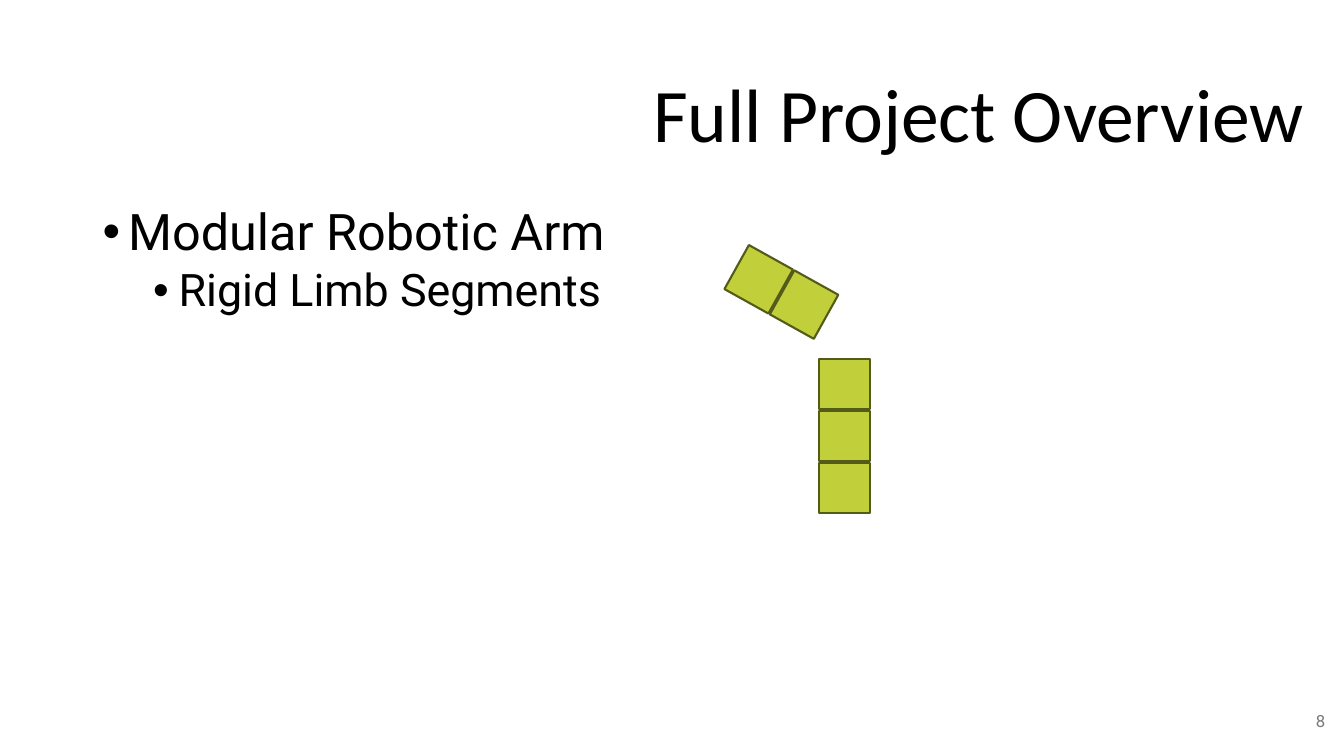
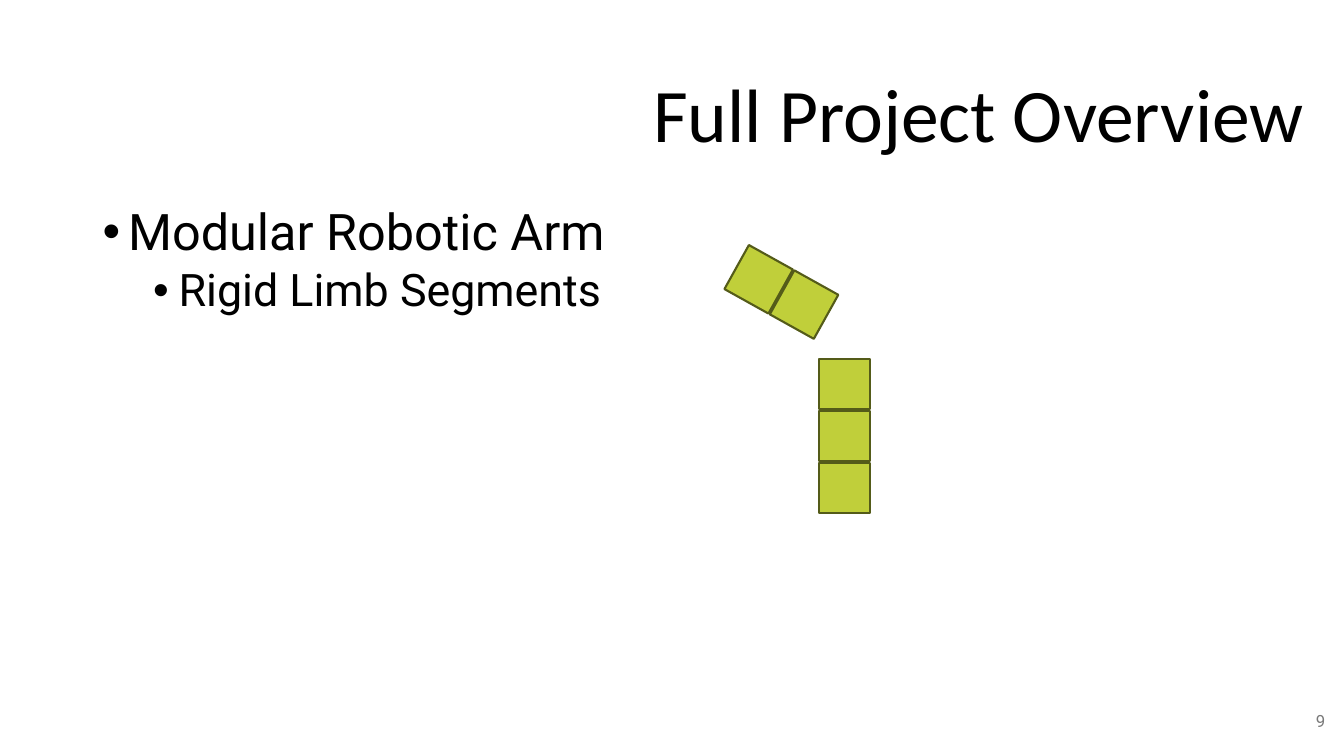
from math import cos, radians, sin

from lxml.etree import SubElement
from pptx import Presentation
from pptx.dml.color import RGBColor
from pptx.enum.shapes import MSO_SHAPE
from pptx.enum.text import MSO_ANCHOR, PP_ALIGN
from pptx.oxml.ns import qn
from pptx.util import Cm, Pt

BLACK = RGBColor(0x00, 0x00, 0x00)
GREY = RGBColor(0x79, 0x79, 0x79)
LIME = RGBColor(0xC0, 0xCF, 0x3A)
OLIVE = RGBColor(0x54, 0x5B, 0x19)

TITLE_FONT = {"name": "Calibri", "size": Pt(54)}
NUMBER_FONT = {"name": "Roboto", "size": Pt(12)}

# text, left margin, space before, font
BULLETS = [
    ("Modular Robotic Arm", Cm(0.64), Pt(0), {"name": "Roboto", "size": Pt(36)}),
    ("Rigid Limb Segments", Cm(1.91), Pt(5), {"name": "Roboto", "size": Pt(32)}),
]
HANGING = Cm(-0.64)

SEGMENT = 1.27
PITCH = 1.31
# left and top of the first segment, segment count, heading in degrees
LIMBS = [(20.65, 11.66, 3, 90), (19.63, 7.04, 2, 150.9)]

# slide number, whether each limb is grouped
PAGES = [(8, False), (9, True)]


def add_box(page, left, top, width, height, anchor):
    frame = page.shapes.add_textbox(Cm(left), Cm(top), Cm(width), Cm(height)).text_frame
    frame.word_wrap = True
    frame.vertical_anchor = anchor
    return frame


def add_span(para, text, font_format, color=BLACK):
    span = para.add_run()
    span.text = text
    for attribute, value in font_format.items():
        setattr(span.font, attribute, value)
    span.font.color.rgb = color


deck = Presentation()
deck.slide_width = Cm(33.87)
deck.slide_height = Cm(19.05)

for number, grouped in PAGES:
    page = deck.slides.add_slide(deck.slide_layouts[6])

    title = add_box(page, 2.34, 1.14, 30.78, 3.68, MSO_ANCHOR.MIDDLE).paragraphs[0]
    title.alignment = PP_ALIGN.RIGHT
    title.line_spacing = 0.9
    add_span(title, "Full Project Overview", TITLE_FONT)

    body = add_box(page, 2.34, 5.08, 14.4, 11.58, MSO_ANCHOR.TOP)
    for level, (text, margin, space_before, font_format) in enumerate(BULLETS):
        para = body.add_paragraph() if level else body.paragraphs[0]
        para.level = level
        properties = para._p.get_or_add_pPr()
        properties.set("marL", str(int(margin)))
        properties.set("indent", str(int(HANGING)))
        SubElement(properties, qn("a:buFont")).set("typeface", "Arial")
        SubElement(properties, qn("a:buChar")).set("char", "•")
        para.line_spacing = 0.9
        para.space_before = space_before
        add_span(para, text, font_format)

    footer = add_box(page, 32.08, 17.65, 1.57, 1.02, MSO_ANCHOR.MIDDLE).paragraphs[0]
    footer.alignment = PP_ALIGN.RIGHT
    add_span(footer, str(number), NUMBER_FONT, GREY)

    for left, top, count, heading in LIMBS:
        limb = page.shapes.add_group_shape().shapes if grouped else page.shapes
        for index in range(count):
            segment = limb.add_shape(
                MSO_SHAPE.RECTANGLE,
                Cm(left + index * PITCH * cos(radians(heading))),
                Cm(top - index * PITCH * sin(radians(heading))),
                Cm(SEGMENT),
                Cm(SEGMENT),
            )
            segment.rotation = 90 - heading
            segment.shadow.inherit = False
            segment.fill.solid()
            segment.fill.fore_color.rgb = LIME
            segment.line.color.rgb = OLIVE
            segment.line.width = Pt(1.5)

deck.save("out.pptx")
